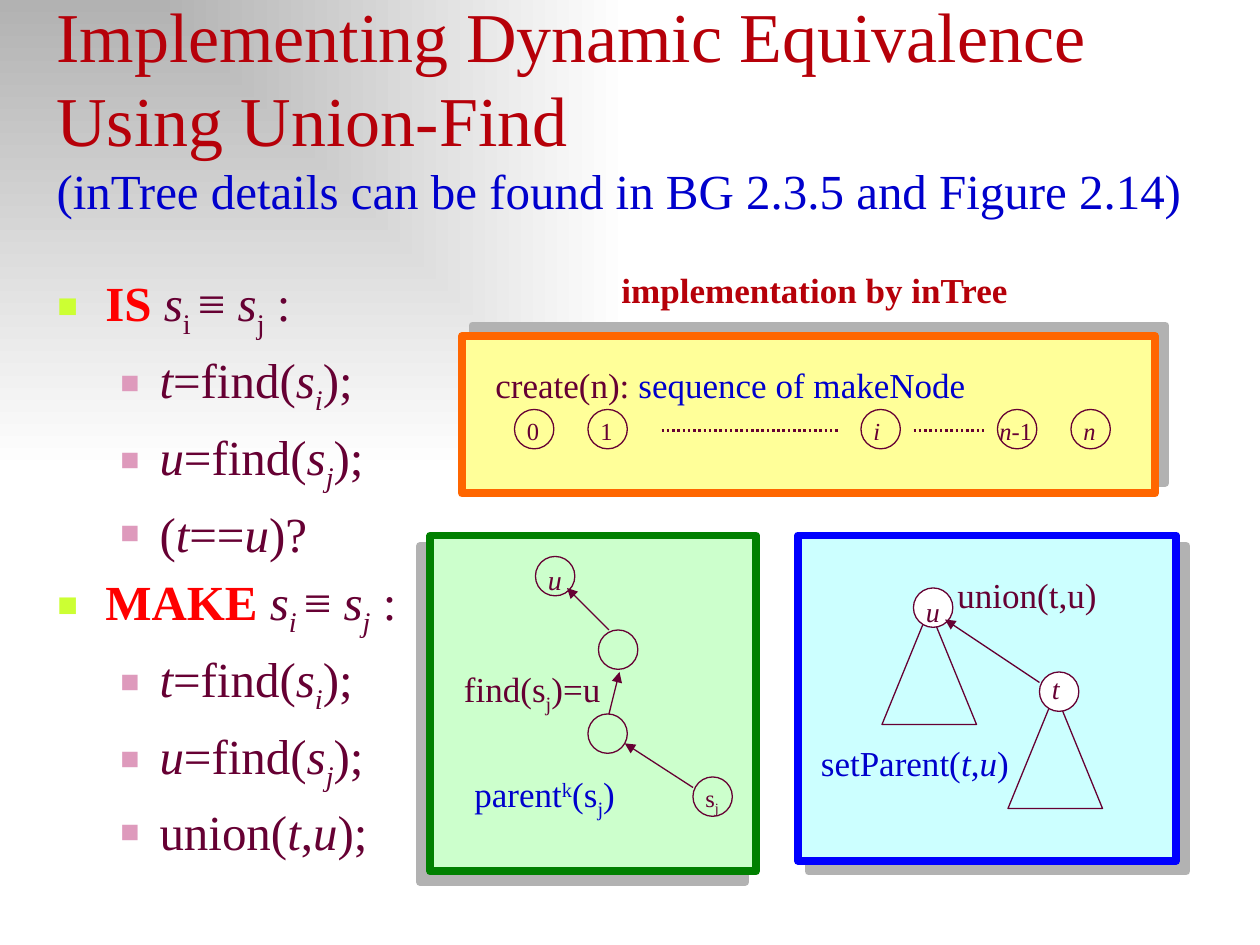
from typing import NamedTuple

from lxml import etree
from pptx import Presentation
from pptx import util as u
from pptx.dml.color import RGBColor
from pptx.enum import dml, shapes, text
from pptx.oxml import parse_xml
from pptx.oxml.ns import qn

COLORS = {
    "title": "B60009", "blue": "0000CC", "ink": "660033", "keyword": "FF0000",
    "shadow": "B2B2B2", "white": "FFFFFF", "lime": "CCFF33", "pink": "DE9ABC",
    "cyan": "CCFFFF", "cyan edge": "0000FF", "green": "CCFFCC",
    "green edge": "008000", "yellow": "FFFF99", "yellow edge": "FF6600",
}
FONT = "Times New Roman"
COLS, ROWS = 120, 90  # grid cells of 1/12 inch
NODE = 3.75           # node diameter in grid cells


class R(NamedTuple):
    """A run; style letters: i italic, b bold, - subscript, + superscript."""
    text: str
    style: str = ""
    color: str = ""
    size: float = 0


class Panel(NamedTuple):
    x: float
    y: float
    w: float
    h: float
    color: str
    angle: int


class Node(NamedTuple):
    x: float
    y: float
    filled: bool = False


class Label(NamedTuple):
    x: float
    y: float
    w: float
    size: float
    runs: list
    color: str = "ink"


class Line(NamedTuple):
    x1: float
    y1: float
    x2: float
    y2: float
    dotted: bool = False


def rgb(name: str) -> RGBColor:
    return RGBColor.from_string(COLORS[name])


def grid(*cells: float) -> list:
    return [u.Inches(c / 12) for c in cells]


def sub(parent, tag: str, **attrs):
    return etree.SubElement(parent, qn(tag), {k: str(v) for k, v in attrs.items()})


def color_el(parent, name: str) -> None:
    sub(parent, "a:srgbClr", val=COLORS[name])


def add_box(s, x: float, y: float, w: float, h: float):
    tf = s.shapes.add_textbox(*grid(x, y, w, h)).text_frame
    tf.word_wrap = True
    return tf


def add_runs(p, runs: list, size: float, color: str) -> None:
    p.font.name, p.font.size, p.font.color.rgb = FONT, u.Pt(size), rgb(color)
    for run in runs:
        r = p.add_run()
        r.text = run.text
        if "i" in run.style:
            r.font.italic = True
        if "b" in run.style:
            r.font.bold = True
        if run.color:
            r.font.color.rgb = rgb(run.color)
        if run.size:
            r.font.size = u.Pt(run.size)
        for sign, offset in (("-", -25000), ("+", 30000)):
            if sign in run.style:
                r.font._element.set("baseline", str(offset))


def add_shape(s, kind, x, y, w, h, fill="", line="ink", width=0.75):
    sp = s.shapes.add_shape(kind, *grid(x, y, w, h))
    sp.shadow.inherit = False
    if fill:
        sp.fill.solid()
        sp.fill.fore_color.rgb = rgb(fill)
    else:
        sp.fill.background()
    sp.line.color.rgb, sp.line.width = rgb(line), u.Pt(width)
    return sp


def add_panel(s, d: Panel) -> None:
    sp = add_shape(s, shapes.MSO_SHAPE.RECTANGLE, d.x, d.y, d.w, d.h,
                   d.color, d.color + " edge", 4.5)
    effects = sp._element.spPr.find(qn("a:effectLst"))
    color_el(sub(effects, "a:outerShdw", blurRad=0, dist=u.Pt(8.5),
                 dir=d.angle * 60000, algn="ctr", rotWithShape=0), "shadow")


def add_node(s, d: Node) -> None:
    add_shape(s, shapes.MSO_SHAPE.OVAL, d.x, d.y, NODE, NODE,
              "white" if d.filled else "")


def add_label(s, d: Label) -> None:
    add_runs(add_box(s, d.x, d.y, d.w, d.size / 5 + 1.2).paragraphs[0],
             d.runs, d.size, d.color)


def add_line(s, d: Line) -> None:
    c = s.shapes.add_connector(shapes.MSO_CONNECTOR.STRAIGHT,
                               *grid(d.x1, d.y1, d.x2, d.y2))
    c.line.color.rgb, c.line.width = rgb("ink"), u.Pt(1.5 if d.dotted else 0.75)
    if d.dotted:
        c.line.dash_style = dml.MSO_LINE.ROUND_DOT
    else:
        sub(c.line._get_or_add_ln(), "a:tailEnd", type="triangle")
    sub(c._element.spPr, "a:effectLst")


def add_background(s) -> None:
    s.background.fill.solid()
    bg = s.background._cSld.bg.bgPr
    stops = "".join(f'<a:gs pos="{pos}"><a:srgbClr val="{COLORS[c]}"/></a:gs>'
                    for pos, c in ((0, "shadow"), (100000, "white")))
    bg.replace(bg[0], parse_xml(
        '<a:gradFill xmlns:a="http://schemas.openxmlformats.org/drawingml/2006/main"'
        f' rotWithShape="0"><a:gsLst>{stops}</a:gsLst><a:path path="rect">'
        '<a:fillToRect r="100000" b="100000"/></a:path></a:gradFill>'))


def add_title(s) -> None:
    tf = add_box(s, 4.2, -2.4, 113.4, 23.9)
    tf.vertical_anchor = text.MSO_ANCHOR.BOTTOM
    p = tf.paragraphs[0]
    for part in ("Implementing Dynamic Equivalence", "Using Union-Find"):
        add_runs(p, [R(part)], 40, "title")
        p.add_line_break()
    add_runs(p, [R("(inTree details can be found in BG 2.3.5 and Figure 2.14)",
                   color="blue", size=28)], 40, "title")
    for br in p._p.findall(qn("a:br")):
        sub(br, "a:rPr", sz=4400)


def add_outline(s, items: list) -> None:
    tf = add_box(s, 4.3, 25.4, 107.8, 54)
    for n, (level, runs) in enumerate(items):
        p = tf.add_paragraph() if n else tf.paragraphs[0]
        margin, hang, size, color = ((0.38, 0.38, 70, "lime"),
                                     (0.81, 0.31, 65, "pink"))[level]
        p.level = level
        pPr = p._p.get_or_add_pPr()
        pPr.set("marL", str(u.Inches(margin)))
        pPr.set("indent", str(-u.Inches(hang)))
        if n:
            sub(sub(pPr, "a:spcBef"), "a:spcPct", val=20000)
        color_el(sub(pPr, "a:buClr"), color)
        sub(pPr, "a:buSzPct", val=size * 1000)
        sub(pPr, "a:buFont", typeface=FONT)
        sub(pPr, "a:buChar", char="■")
        add_runs(p, runs, 28, "ink")


def heading(word: str, style: str) -> tuple:
    return 0, [R(word + " ", "b", "keyword"), R("s", "i"), R("i ", style),
               R("≡ "), R("s", "i"), R("j", style), R(" :")]


def find(var: str, index: str) -> tuple:
    return 1, [R(var, "i"), R("=find("), R("s", "i"), R(index, "i-"), R(");")]


T, U = R("t", "i"), R("u", "i")
FINDS = [find("t", "i"), find("u", "j")]
OUTLINE = [heading("IS", "-"), *FINDS, (1, [R("("), T, R("=="), U, R(")?")]),
           heading("MAKE", "i-"), *FINDS,
           (1, [R("union("), T, R(","), U, R(");")])]

PANELS = [Panel(76, 51, 36, 31, "cyan", 45),
          Panel(41, 51, 31, 32, "green", 135),
          Panel(44, 32, 66, 15, "yellow", 315)]
ROW_NODES = [Node(x, 39) for x in (49, 56, 82, 95, 102)]
PATH_NODES = [Node(51, 53), Node(57, 60), Node(56, 68), Node(66, 74)]
TREES = [Node(87, 56, True), Node(99, 64, True)]
LINES = [Line(63, 41, 80, 41, True), Line(87, 41, 94, 41, True),
         Line(66, 75, 59.5, 70.8), Line(58, 68, 59, 64), Line(58, 60, 54, 56),
         Line(99, 65, 90, 59)]
LABELS = [
    Label(58, 25, 40, 20, [R("implementation by inTree", "b")], "title"),
    Label(46, 34, 48, 20, [R("create(n): "), R("sequence of makeNode", "", "blue")]),
    Label(49, 39, 5, 14, [R("0")]),
    Label(56, 39, 5, 14, [R("1")]),
    Label(82, 39, 5, 14, [R("i", "i")]),
    Label(94, 39, 7, 14, [R("n-", "i"), R("1")]),
    Label(102, 39, 5, 14, [R("n", "i")]),
    Label(66, 74, 4, 14, [R("s"), R("j", "-")]),
    Label(51, 53, 5, 16, [U]),
    Label(43, 63, 16, 20, [R("find(s"), R("j", "-"), R(")=u")]),
    Label(44, 73, 22, 20, [R("parent"), R("k", "+"), R("(s"), R("j", "-"), R(")")],
          "blue"),
    Label(90, 54, 21, 20, [R("union(t,u)")]),
    Label(87, 56, 5, 16, [U]),
    Label(99, 63.4, 6, 16, [T]),
    Label(77, 70, 21, 20, [R("setParent("), T, R(","), U, R(")")], "blue"),
]


def main() -> None:
    prs = Presentation()
    prs.slide_width, prs.slide_height = grid(COLS, ROWS)
    s = prs.slides.add_slide(prs.slide_layouts[6])
    add_background(s)
    # Panels, heading and pseudocode
    for panel in PANELS:
        add_panel(s, panel)
    add_title(s)
    add_outline(s, OUTLINE)
    # Subtrees hang below their root nodes
    for root in TREES:
        add_shape(s, shapes.MSO_SHAPE.ISOSCELES_TRIANGLE,
                  root.x - 3, root.y + 2, 9, 11)
    for node in ROW_NODES + PATH_NODES + TREES:
        add_node(s, node)
    # Links and captions
    for line in LINES:
        add_line(s, line)
    for label in LABELS:
        add_label(s, label)
    prs.save("out.pptx")


if __name__ == "__main__":
    main()
